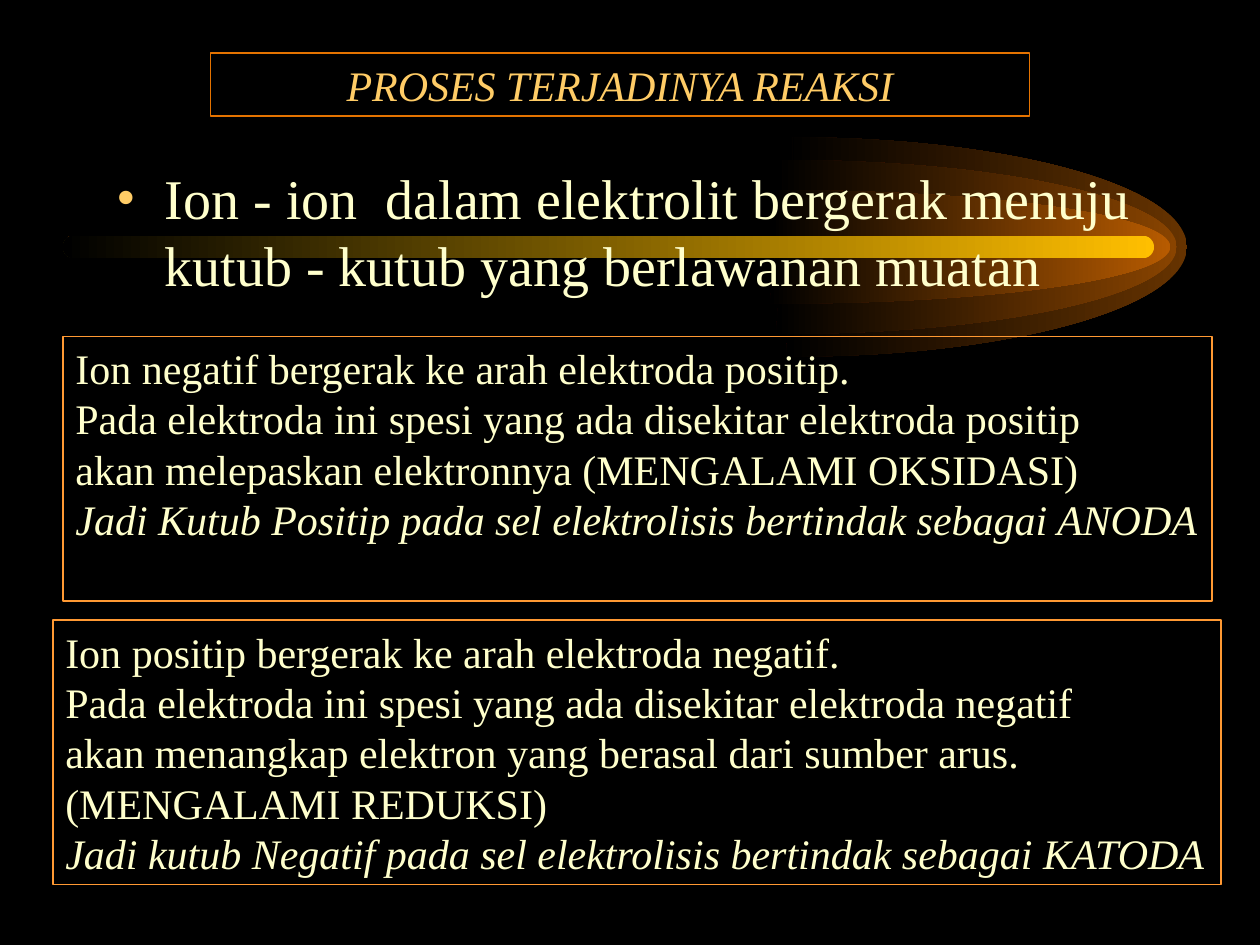
from dataclasses import dataclass

from lxml import etree
from pptx import Presentation, util as u
from pptx.dml.color import RGBColor
from pptx.enum import shapes, text
from pptx.oxml import ns


@dataclass(frozen=True)
class Theme:
    font: str = "Times New Roman"
    background: str = "000000"
    body: str = "FFFFCC"
    accent: str = "FFCC66"
    title_line: str = "E57300"
    panel_line: str = "FF9933"
    beam: str = "FFBF00"
    lead_size: int = 32
    text_size: int = 24


@dataclass(frozen=True)
class Glow:
    center_x: float
    top: float
    color: str


@dataclass(frozen=True)
class Panel:
    left: float
    top: float
    width: float
    height: float
    lines: tuple[str, ...]
    conclusion: str


THEME = Theme()
AXIS_Y = 1.96
GLOW_LENGTH = 3.13
GLOW_TAIL = 0.05
ARC = 0.55  # Bezier handle length for a quarter ellipse
GLOWS = (
    Glow(6.29, 1.09, "663300"),
    Glow(6.21, 1.27, "894400"),
    Glow(6.16, 1.51, "B75B00"),
)
PANELS = (
    Panel(0.42, 4.92, 9.27, 2.1, (
        "Ion positip bergerak ke arah elektroda negatif.",
        "Pada elektroda ini spesi yang ada disekitar elektroda negatif",
        "akan menangkap elektron yang berasal dari sumber arus.",
        "(MENGALAMI REDUKSI)",
    ), "Jadi kutub Negatif pada sel elektrolisis bertindak sebagai KATODA"),
    Panel(0.5, 2.67, 9.12, 2.1, (
        "Ion negatif bergerak ke arah elektroda positip.",
        "Pada elektroda ini spesi yang ada disekitar elektroda positip",
        "akan melepaskan elektronnya (MENGALAMI OKSIDASI)",
    ), "Jadi Kutub Positip pada sel elektrolisis bertindak sebagai ANODA"),
)


def box(left: float, top: float, width: float, height: float) -> tuple:
    return tuple(u.Inches(value) for value in (left, top, width, height))


def apply(target, values: dict) -> None:
    for name, value in values.items():
        setattr(target, name, value)


def style_text(paragraph, size: int, color: str, italic: bool = False) -> None:
    apply(paragraph.font, {"name": THEME.font, "size": u.Pt(size),
                           "italic": italic, "bold": False})
    paragraph.font.color.rgb = RGBColor.from_string(color)


def outline(shape, color: str, width: float) -> None:
    shape.fill.background()
    shape.line.color.rgb = RGBColor.from_string(color)
    shape.line.width = u.Pt(width)


def fade_left(shape, color: str) -> None:
    """Fade from the colour on the right to the background on the left."""
    shape.shadow.inherit = False
    shape.line.fill.background()
    shape.fill.gradient()
    shape.fill.gradient_angle = 180
    for stop, tone in zip(shape.fill.gradient_stops, (color, THEME.background)):
        stop.color.rgb = RGBColor.from_string(tone)


def curve_segments(shape, curves: int) -> None:
    """Turn each leading triple of straight segments into one Bezier curve."""
    segments = list(shape.element.iter(ns.qn("a:lnTo")))
    for start in range(0, 3 * curves, 3):
        triple = segments[start:start + 3]
        curve = etree.Element(ns.qn("a:cubicBezTo"))
        triple[0].addprevious(curve)
        for segment in triple:
            curve.append(segment[0])
            segment.getparent().remove(segment)


def draw_glow(slide, glow: Glow) -> None:
    x, tip = glow.center_x, glow.center_x + GLOW_LENGTH
    rise = AXIS_Y - glow.top
    bottom = AXIS_Y + rise
    shoulder = x + ARC * GLOW_LENGTH
    outline_points = (
        (x, glow.top),
        (shoulder, glow.top), (tip, AXIS_Y - ARC * rise), (tip, AXIS_Y),
        (tip, AXIS_Y + ARC * rise), (shoulder, bottom), (x, bottom),
        (x - GLOW_TAIL, bottom), (x, AXIS_Y),
    )
    points = [(u.Inches(left), u.Inches(top)) for left, top in outline_points]
    builder = slide.shapes.build_freeform(*points[0], scale=1.0)
    builder.add_line_segments(points[1:], close=True)
    shape = builder.convert_to_shape()
    curve_segments(shape, 2)
    fade_left(shape, glow.color)


def draw_beam(slide) -> None:
    beam = slide.shapes.add_shape(shapes.MSO_SHAPE.ROUNDED_RECTANGLE,
                                  *box(0.5, 1.87, 8.66, 0.18))
    beam.adjustments[0] = 0.5
    fade_left(beam, THEME.beam)


def place_title(slide, wording: str) -> None:
    title = slide.shapes.title
    slide.shapes.element.append(title.element)  # in front of the comet
    left, top, width, height = box(1.67, 0.42, 6.5, 0.5)
    apply(title, {"left": left, "top": top, "width": width, "height": height})
    outline(title, THEME.title_line, 0.75)
    frame = title.text_frame
    frame.text = wording
    apply(frame, {"vertical_anchor": text.MSO_ANCHOR.BOTTOM, "word_wrap": True,
                  "auto_size": text.MSO_AUTO_SIZE.NONE})
    heading = frame.paragraphs[0]
    apply(heading, {"alignment": text.PP_ALIGN.CENTER, "line_spacing": 1.0})
    style_text(heading, THEME.text_size, THEME.accent, italic=True)


def draw_lead(slide, wording: str) -> None:
    frame = slide.shapes.add_textbox(*box(0.83, 1.25, 8.5, 1.5)).text_frame
    frame.word_wrap = True
    lead = frame.paragraphs[0]
    lead.text = wording
    properties = lead._p.get_or_add_pPr()
    properties.set("marL", str(u.Inches(0.38)))
    properties.set("indent", str(u.Inches(-0.38)))
    bullet_color = etree.SubElement(properties, ns.qn("a:buClr"))
    etree.SubElement(bullet_color, ns.qn("a:srgbClr"), val=THEME.accent)
    etree.SubElement(properties, ns.qn("a:buFont"), typeface=THEME.font)
    etree.SubElement(properties, ns.qn("a:buChar"), char="•")
    style_text(lead, THEME.lead_size, THEME.body)


def draw_panel(slide, panel: Panel) -> None:
    frame_shape = slide.shapes.add_shape(
        shapes.MSO_SHAPE.RECTANGLE,
        *box(panel.left, panel.top, panel.width, panel.height))
    frame_shape.shadow.inherit = False
    outline(frame_shape, THEME.panel_line, 1)
    frame = frame_shape.text_frame
    apply(frame, {"word_wrap": False, "vertical_anchor": text.MSO_ANCHOR.TOP})
    frame.text = "\n".join((*panel.lines, panel.conclusion))
    for number, paragraph in enumerate(frame.paragraphs):
        paragraph.alignment = text.PP_ALIGN.LEFT
        style_text(paragraph, THEME.text_size, THEME.body,
                   italic=number == len(panel.lines))


def main() -> None:
    deck = Presentation()
    deck.slide_width, deck.slide_height = u.Inches(10), u.Inches(7.5)
    slide = deck.slides.add_slide(deck.slide_layouts[5])
    slide.background.fill.solid()
    slide.background.fill.fore_color.rgb = RGBColor.from_string(THEME.background)

    # Comet behind the text
    for glow in GLOWS:
        draw_glow(slide, glow)
    draw_beam(slide)

    # Title and leading statement
    place_title(slide, "PROSES TERJADINYA REAKSI")
    draw_lead(slide, "Ion - ion  dalam elektrolit bergerak menuju "
                     "kutub - kutub yang berlawanan muatan")

    # Cathode and anode explanations
    for panel in PANELS:
        draw_panel(slide, panel)

    deck.save("out.pptx")


if __name__ == "__main__":
    main()
